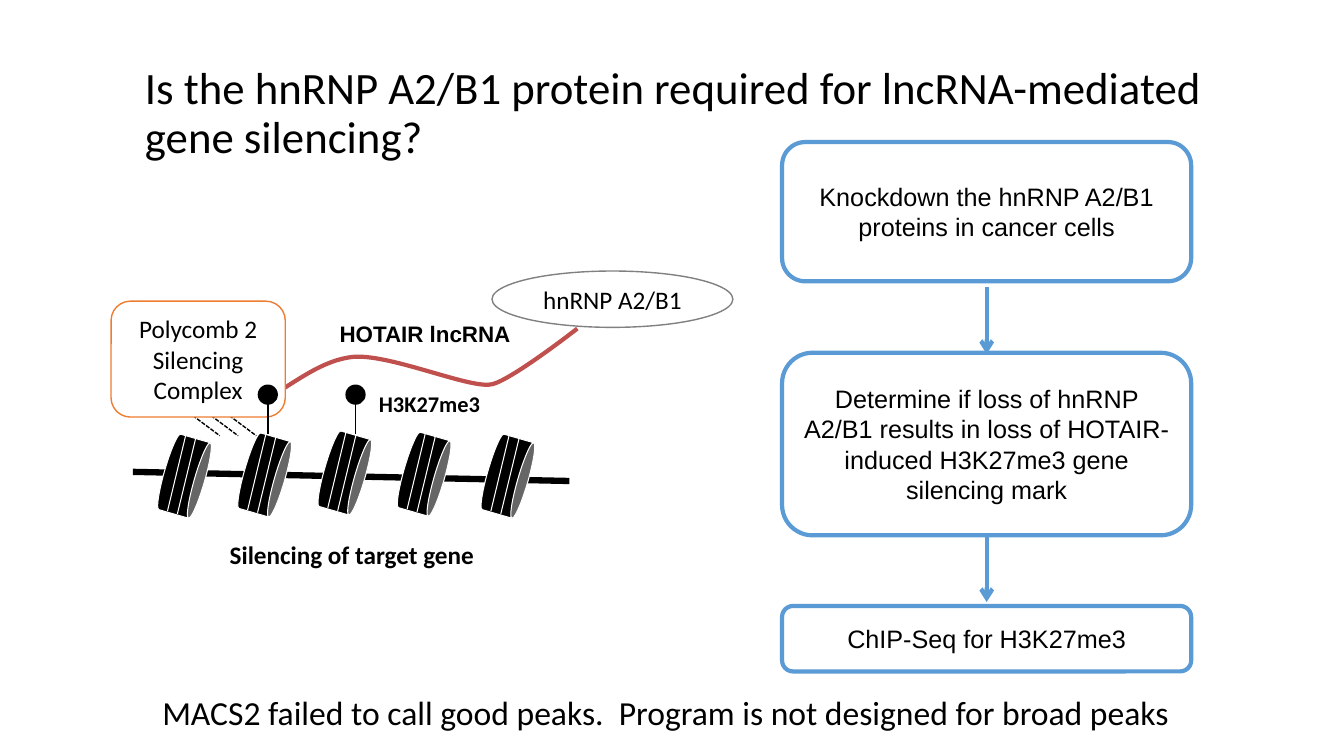
from pptx import Presentation, util as u
from pptx.dml.color import RGBColor
from pptx.enum import dml, shapes, text
from pptx.oxml.ns import qn
from lxml import etree

BLACK = RGBColor(0x00, 0x00, 0x00)
WHITE = RGBColor(0xFF, 0xFF, 0xFF)
GRAY = RGBColor(0x80, 0x80, 0x80)
RED = RGBColor(0xC0, 0x50, 0x4D)
ORANGE = RGBColor(0xED, 0x7D, 0x31)
BLUE = RGBColor(0x5B, 0x9B, 0xD5)
SHAPE = shapes.MSO_SHAPE


def set_text(sp, words, size, font="Calibri", bold=False, align=None):
    """Write one paragraph of black text."""
    sp.text_frame.text = words
    p = sp.text_frame.paragraphs[0]
    p.alignment = align
    p.font.name, p.font.size, p.font.bold = font, u.Pt(size), bold
    p.font.color.rgb = BLACK


def add_label(s, x, y, w, h, words, size, font="Calibri", bold=False):
    """Add a one-line text box, in cm."""
    sp = s.shapes.add_textbox(u.Cm(x), u.Cm(y), u.Cm(w), u.Cm(h))
    set_text(sp, words, size, font, bold)
    sp.text_frame.word_wrap = False
    sp.text_frame.auto_size = text.MSO_AUTO_SIZE.SHAPE_TO_FIT_TEXT


def add_shape(s, kind, x, y, w, h, fill, line=None, width=1.0):
    """Add a flat preset shape, in cm."""
    sp = s.shapes.add_shape(kind, u.Cm(x), u.Cm(y), u.Cm(w), u.Cm(h))
    sp.shadow.inherit = False
    sp.fill.solid()
    sp.fill.fore_color.rgb = fill
    if line is None:
        sp.line.fill.background()
    else:
        sp.line.color.rgb, sp.line.width = line, u.Pt(width)
    return sp


def add_node(s, kind, x, y, w, h, words, line, width=1.0, font="Calibri"):
    """Add a white outlined shape with centred text."""
    sp = add_shape(s, kind, x, y, w, h, WHITE, line, width)
    set_text(sp, words, 18, font, align=text.PP_ALIGN.CENTER)
    sp.text_frame.word_wrap = True
    sp.text_frame.vertical_anchor = text.MSO_ANCHOR.MIDDLE


def add_line(s, x1, y1, x2, y2, color=BLACK, width=1.0, dash=None, arrow=False):
    """Add a straight connector, in cm, with an optional arrowhead."""
    c = s.shapes.add_connector(shapes.MSO_CONNECTOR.STRAIGHT,
                               u.Cm(x1), u.Cm(y1), u.Cm(x2), u.Cm(y2))
    c.line.color.rgb, c.line.width = color, u.Pt(width)
    if dash:
        c.line.dash_style = dash
    if arrow:
        etree.SubElement(c.line._get_or_add_ln(), qn("a:tailEnd"), type="arrow")
    etree.SubElement(c._element.spPr, qn("a:effectLst"))


def add_curve(s, points, color, width):
    """Add an open Bezier curve through a start and triples of points, in cm."""
    start, *rest = [(u.Cm(x), u.Cm(y)) for x, y in points]
    builder = s.shapes.build_freeform(*start)
    builder.add_line_segments(rest, close=False)
    sp = builder.convert_to_shape()
    sp.shadow.inherit = False
    sp.fill.background()
    sp.line.color.rgb, sp.line.width = color, u.Pt(width)
    outline = next(sp._element.iter(qn("a:path")))
    segments = outline.findall(qn("a:lnTo"))
    for i in range(0, len(segments), 3):
        bezier = etree.SubElement(outline, qn("a:cubicBezTo"))
        for segment in segments[i:i + 3]:
            bezier.append(segment[0])
            outline.remove(segment)


def add_nucleosome(s, cx, cy):
    """Draw a tilted histone barrel with two DNA stripes about its centre."""
    w, h = 1.98, 1.04
    can = add_shape(s, SHAPE.CAN, cx - w / 2, cy - h / 2, w, h, BLACK, WHITE, 0.75)
    can.rotation = 106.1
    for x1, y1, x2, y2 in ((-0.18, 0.95, 0.28, -0.95), (-0.43, 0.88, 0.03, -1.03)):
        add_line(s, cx + x1, cy + y1, cx + x2, cy + y2, WHITE, 0.75)


def add_methyl_mark(s, x, y):
    """Draw a histone mark: a ball on a stem that starts at its upper part."""
    d = 0.51
    add_line(s, x, y, x, y + 1.09)
    add_shape(s, SHAPE.OVAL, x - d / 2, y - 0.15, d, d, BLACK)


def add_silencing_diagram(s, x, y):
    """Draw chromatin, the lncRNA and its protein partners from a top-left corner."""
    for i in range(3):
        dx = x + 1.72 + 0.46 * i
        add_line(s, dx, y + 3.42, dx + 1.02, y + 4.18, dash=dml.MSO_LINE.SQUARE_DOT)
    add_label(s, x + 2.74, y + 6.66, 6.76, 1.02, "Silencing of target gene", 18, bold=True)
    lncrna = ((2.31, 3.33), (2.69, 2.17), (3.07, 3.51), (3.7, 3.31),
              (4.34, 3.13), (5.15, 2.27), (6.14, 2.19),
              (7.11, 2.14), (9.11, 3.03), (9.62, 2.88),
              (10.15, 2.73), (11.75, 1.48), (11.75, 1.48))
    add_curve(s, [(x + px, y + py) for px, py in lncrna], RED, 3)
    add_node(s, SHAPE.OVAL, x + 9.6, y + 0.03, 6.07, 1.42, "hnRNP A2/B1", GRAY)
    add_label(s, x + 5.51, y + 1.15, 4.88, 0.94, "HOTAIR lncRNA", 16, "Arial", True)
    add_line(s, x + 11.55, y + 5.32, x + 0.55, y + 5.09, width=4.5)
    for cx, cy in ((1.85, 5.2), (3.87, 5.17), (5.89, 5.12), (7.89, 5.15), (10, 5.2)):
        add_nucleosome(s, x + cx, y + cy)
    add_label(s, x + 6.5, y + 2.9, 3.1, 0.94, "H3K27me3", 16, bold=True)
    add_node(s, SHAPE.ROUNDED_RECTANGLE, x, y + 0.79, 4.39, 2.92,
             "Polycomb 2 Silencing Complex", ORANGE)
    for mx in (3.95, 6.16):
        add_methyl_mark(s, x + mx, y + 3.04)


def add_workflow(s, x, y, w):
    """Draw the three experiment steps and the arrows between them."""
    steps = ((0, 3.51, "Knockdown the hnRNP A2/B1 proteins in cancer cells"),
             (5.31, 4.6, "Determine if loss of hnRNP A2/B1 results in loss of "
                         "HOTAIR-induced H3K27me3 gene silencing mark"),
             (11.69, 1.65, "ChIP-Seq for H3K27me3"))
    for top, h, words in steps:
        add_node(s, SHAPE.ROUNDED_RECTANGLE, x, y + top, w, h, words, BLUE, 3, "Arial")
    for top in (3.66, 9.91):
        add_line(s, x + w / 2, y + top, x + w / 2, y + top + 1.68, BLUE, 3, arrow=True)


def add_title(s, x, y, w, h):
    """Move and format the title placeholder."""
    sp = s.shapes.title
    sp.left, sp.top, sp.width, sp.height = u.Cm(x), u.Cm(y), u.Cm(w), u.Cm(h)
    set_text(sp, "Is the hnRNP A2/B1 protein required for lncRNA-mediated gene silencing?",
             32, align=text.PP_ALIGN.LEFT)
    sp.text_frame.word_wrap = True
    sp.text_frame.vertical_anchor = text.MSO_ANCHOR.MIDDLE
    sp.text_frame.paragraphs[0].line_spacing = 0.9


def main():
    """Build the slide and save it."""
    prs = Presentation()
    prs.slide_width, prs.slide_height = u.Cm(33.87), u.Cm(19.05)
    s = prs.slides.add_slide(prs.slide_layouts[5])
    add_title(s, 3.4, 1.04, 29.21, 3.68)
    add_silencing_diagram(s, 2.8, 6.8)
    add_workflow(s, 19.71, 3.58, 10.31)
    add_label(s, 3.84, 17.3, 26.11, 1.27,
              "MACS2 failed to call good peaks.  Program is not designed for broad peaks", 24)
    prs.save("out.pptx")


main()
